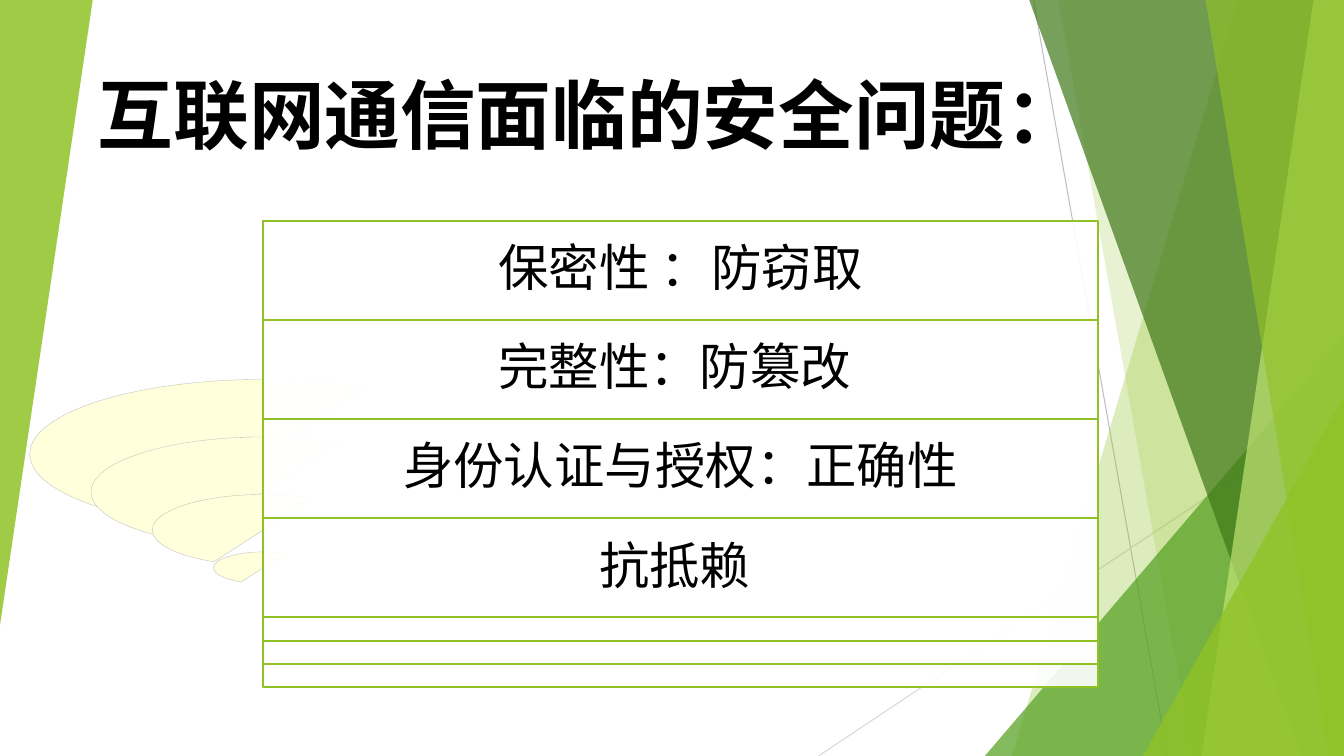
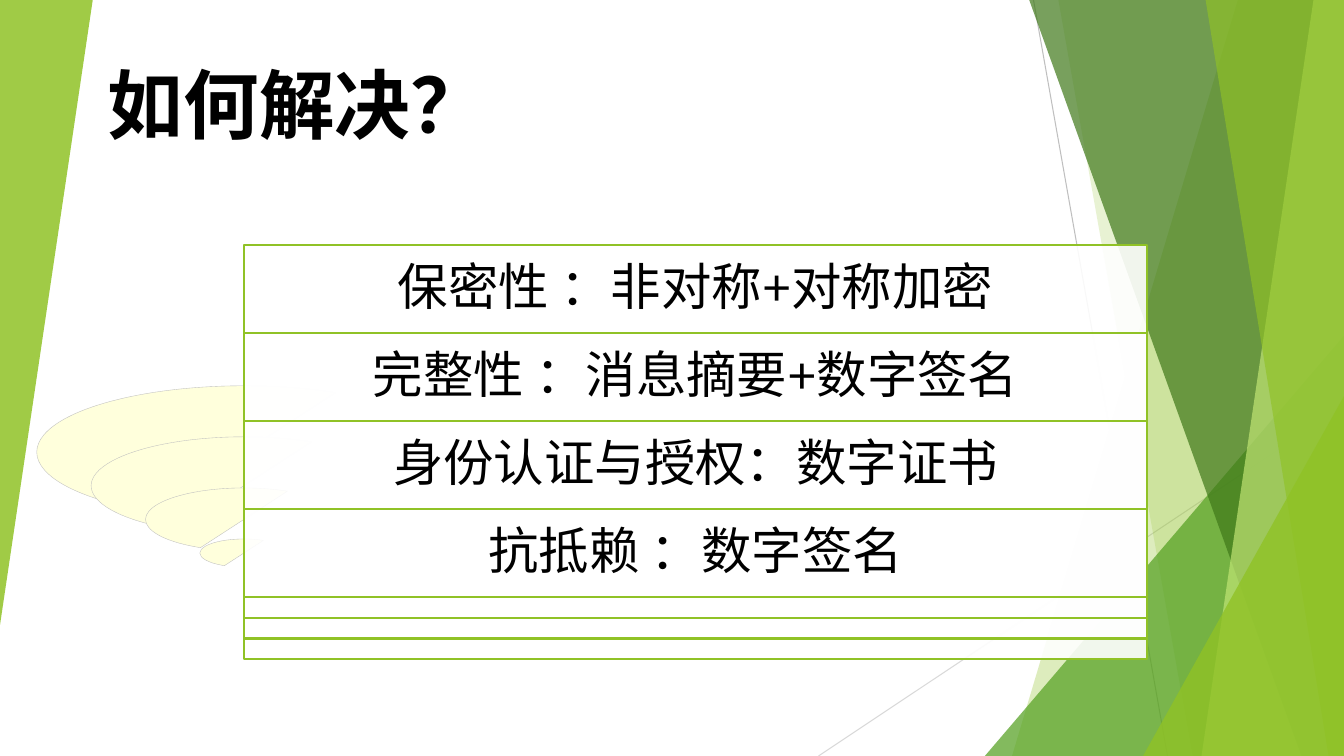
import pptx
import pptx.util
import pptx.dml.color
import pptx.enum.shapes
import pptx.enum.text
import pptx.oxml.ns
import lxml.etree
from dataclasses import dataclass
from typing import Any

SHAPE = pptx.enum.shapes.MSO_SHAPE
ALIGN = pptx.enum.text.PP_ALIGN
ANCHOR = pptx.enum.text.MSO_ANCHOR
Pt = pptx.util.Pt

INK = {
    "lime": "90C226", "green": "54A021", "dark": "3F7819", "light": "C0E474",
    "cream": "FFFFDC", "white": "FFFFFF", "black": "000000",
    "grey": "BFBFBF", "pale": "D9D9D9",
}
LATIN, HAN = "Lato", "Noto Sans CJK SC"

deck = pptx.Presentation()
deck.slide_width = pptx.util.Inches(13.33)
deck.slide_height = pptx.util.Inches(7.5)


# Lengths are percentages of the slide's width and height
def across(share: float) -> int:
    return round(deck.slide_width * share / 100)


def down(share: float) -> int:
    return round(deck.slide_height * share / 100)


@dataclass
class Ray:
    start: tuple[float, float]
    end: tuple[float, float]
    ink: str


@dataclass
class Band:
    """A full-height strip from a slanted left edge to the right margin."""
    top: float
    base: float
    ink: str
    alpha: int


@dataclass
class Wedge:
    left: float
    top: float
    width: float
    height: float
    ink: str
    alpha: int
    turn: int = 0


@dataclass
class Page:
    title: str
    head: tuple[float, float]
    box: tuple[float, float, float, float]
    rows: list[str]


RAYS = [Ray((76.9, 0), (86.87, 100), "grey"), Ray((100, 53.7), (60.9, 100), "pale")]
FACETS = [
    Band(92.1, 75.3, "lime", 30),
    Band(78.75, 88.73, "lime", 20),
    Wedge(73.28, 44.4, 26.72, 55.6, "green", 72),
    Band(76.58, 96.83, "dark", 70),
    Band(97.73, 89.4, "light", 70),
    Band(89.7, 98.85, "lime", 65),
    Wedge(85.05, 52.4, 14.95, 47.6, "lime", 80),
    Wedge(0, 0, 6.9, 82.67, "lime", 85, 180),
]
PAGES = [
    Page("互联网通信面临的安全问题：", (6.53, 7.73), (19.58, 29.2, 62.1, 61.73),
         ["保密性 ：防窃取", "完整性：防篡改 ", "身份认证与授权：正确性", "抗抵赖 "]),
    Page("如何解决？", (7.28, 6.4), (18.15, 32.4, 67.2, 54.8),
         ["保密性 ：非对称+对称加密", "完整性 ：消息摘要+数字签名",
          "身份认证与授权：数字证书", "抗抵赖 ：数字签名"]),
]


# Styling
def tint(ink: str) -> Any:
    return pptx.dml.color.RGBColor.from_string(INK[ink])


def paint(shape: Any, ink: str, alpha: int = 100, edge: str = "", width: float = 1.5) -> None:
    shape.shadow.inherit = False
    shape.fill.solid()
    shape.fill.fore_color.rgb = tint(ink)
    if alpha < 100:
        tone = shape.fill._xPr.find(".//" + pptx.oxml.ns.qn("a:srgbClr"))
        lxml.etree.SubElement(tone, pptx.oxml.ns.qn("a:alpha"), val=str(alpha * 1000))
    if edge:
        shape.line.color.rgb = tint(edge)
        shape.line.width = Pt(width)
    else:
        shape.line.fill.background()


def write(frame: Any, text: str, size: int, face: str, bold: bool = False) -> Any:
    frame.text = text
    frame.word_wrap = True
    frame.auto_size = pptx.enum.text.MSO_AUTO_SIZE.NONE
    line = frame.paragraphs[0]
    for run in line.runs:
        run.font.size, run.font.bold, run.font.name = Pt(size), bold, face
        run.font.color.rgb = tint("black")
        asian = lxml.etree.Element(pptx.oxml.ns.qn("a:ea"), typeface=HAN)
        run.font._element.find(pptx.oxml.ns.qn("a:latin")).addnext(asian)
    return line


# Shared backdrop
def draw_ray(slide: Any, ray: Ray) -> None:
    line = slide.shapes.add_connector(
        pptx.enum.shapes.MSO_CONNECTOR.STRAIGHT,
        across(ray.start[0]), down(ray.start[1]), across(ray.end[0]), down(ray.end[1]))
    line.line.color.rgb = tint(ray.ink)
    line.line.width = Pt(0.75)
    lxml.etree.SubElement(line._element.spPr, pptx.oxml.ns.qn("a:effectLst"))


def draw_facet(slide: Any, facet: Band | Wedge) -> None:
    if isinstance(facet, Band):
        pen = slide.shapes.build_freeform(across(facet.top), 0)
        pen.add_line_segments([(across(100), 0), (across(100), down(100)),
                               (across(facet.base), down(100))])
        shape = pen.convert_to_shape()
    else:
        shape = slide.shapes.add_shape(
            SHAPE.ISOSCELES_TRIANGLE, across(facet.left), down(facet.top),
            across(facet.width), down(facet.height))
        shape.adjustments[0] = 1
        shape.rotation = facet.turn
    paint(shape, facet.ink, facet.alpha)


def share_art(slide: Any) -> None:
    """Draw the backdrop once and hand it to the layout."""
    for ray in RAYS:
        draw_ray(slide, ray)
    for facet in FACETS:
        draw_facet(slide, facet)
    for shape in list(slide.shapes):
        if not shape.is_placeholder:
            slide.slide_layout.shapes.element.append(shape._element)


# Page parts
def draw_title(slide: Any, page: Page) -> None:
    title = slide.shapes.title
    title.left, title.top = across(page.head[0]), down(page.head[1])
    title.width, title.height = across(83.55), down(13.87)
    line = write(title.text_frame, page.title, 54, HAN, True)
    line.alignment = ALIGN.LEFT
    title.text_frame.vertical_anchor = ANCHOR.BOTTOM


def draw_list(slide: Any, page: Page) -> None:
    """Nested frames: each starts one row lower and ends one sliver higher."""
    left, width = across(page.box[0]), across(page.box[2])
    top, full = down(page.box[1]), down(page.box[3])
    row = round(full * 0.2125)
    step = (full - row) / (len(page.rows) - 1)
    for place, text in enumerate(page.rows):
        tall = round(full - place * step)
        head = top + place * row
        flat = round(tall * 0.32)
        disc = slide.shapes.add_shape(
            SHAPE.PIE, left - tall // 2, head + (tall - flat) // 2, tall, flat)
        # Angles of the half disc: 147 and 327 degrees
        disc.adjustments[0], disc.adjustments[1] = 88.2, 196.2
        paint(disc, "cream", edge="grey", width=0.25)
        frame = slide.shapes.add_shape(SHAPE.RECTANGLE, left, head, width, tall)
        paint(frame, "white", 90, "lime")
        label = slide.shapes.add_textbox(left, head, width, row).text_frame
        line = write(label, text, 36, LATIN)
        line.alignment, line.line_spacing = ALIGN.CENTER, 0.9
        label.vertical_anchor = ANCHOR.MIDDLE
        label.margin_left = label.margin_right = pptx.util.Inches(0.15)
        label.margin_top = label.margin_bottom = pptx.util.Inches(0.15)


# Build the deck
plain = deck.slide_layouts[5]
for spot, page in enumerate(PAGES):
    slide = deck.slides.add_slide(plain)
    if spot == 0:
        share_art(slide)
    draw_title(slide, page)
    draw_list(slide, page)

deck.save("out.pptx")
